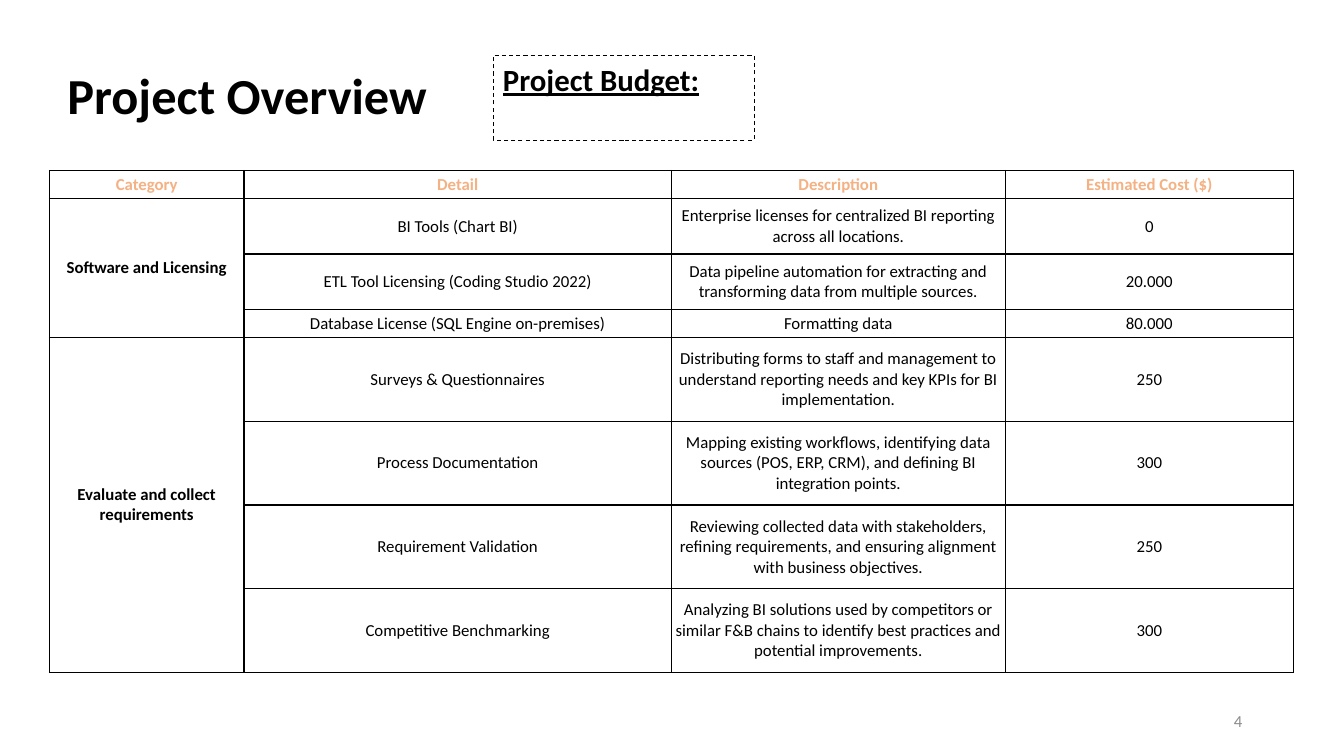
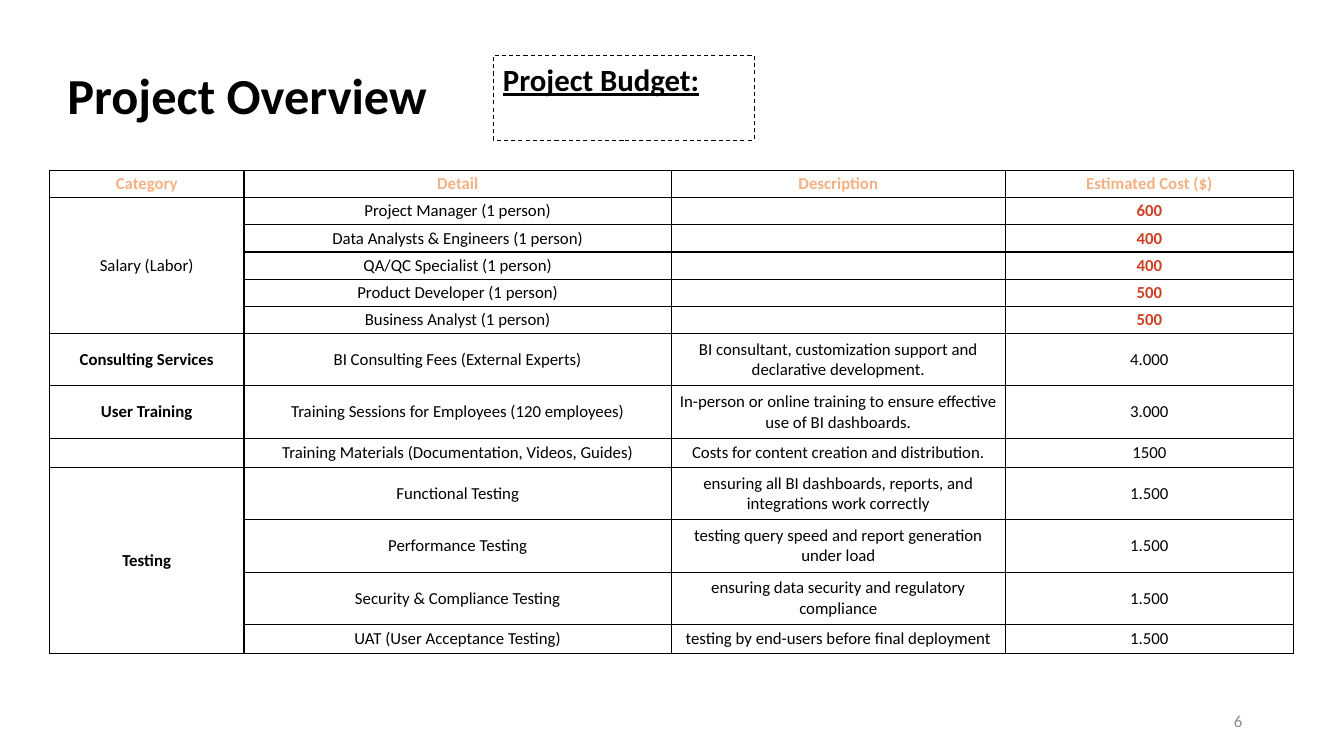
"""Build two project budget slides, each with a heading and a grouped cost table."""
from lxml.etree import SubElement
from pptx import Presentation
from pptx.dml.color import RGBColor
from pptx.enum.dml import MSO_LINE
from pptx.enum.shapes import MSO_SHAPE
from pptx.enum.text import MSO_ANCHOR, PP_ALIGN
from pptx.oxml.ns import qn
from pptx.util import Inches, Pt

BLACK = RGBColor(0x00, 0x00, 0x00)
GRAY = RGBColor(0x8C, 0x8C, 0x8C)
PEACH = RGBColor(0xF4, 0xB1, 0x83)
RED = RGBColor(0xCC, 0x41, 0x25)
FONT = "Calibri"
HEADINGS = ["Category", "Detail", "Description", "Estimated Cost ($)"]
COLUMN_WIDTHS = [1.93, 4.24, 3.31, 2.86]

SLIDES = [
    {
        "number": "4",
        "heights": [0.28, 0.55, 0.55, 0.28] + [0.83] * 4,
        "groups": [
            ("Software and Licensing", True, [
                ("BI Tools (Chart BI)",
                 "Enterprise licenses for centralized BI reporting across all locations.", "0"),
                ("ETL Tool Licensing (Coding Studio 2022)",
                 "Data pipeline automation for extracting and transforming data from multiple sources.",
                 "20.000"),
                ("Database License (SQL Engine on-premises)", "Formatting data", "80.000"),
            ]),
            ("Evaluate and collect requirements", True, [
                ("Surveys & Questionnaires",
                 "Distributing forms to staff and management to understand reporting needs "
                 "and key KPIs for BI implementation.", "250"),
                ("Process Documentation",
                 "Mapping existing workflows, identifying data sources (POS, ERP, CRM), "
                 "and defining BI integration points.", "300"),
                ("Requirement Validation",
                 "Reviewing collected data with stakeholders, refining requirements, "
                 "and ensuring alignment with business objectives.", "250"),
                ("Competitive Benchmarking",
                 "Analyzing BI solutions used by competitors or similar F&B chains "
                 "to identify best practices and potential improvements.", "300"),
            ]),
        ],
    },
    {
        "number": "6",
        "heights": [0.27] * 6 + [0.52, 0.52, 0.29] + [0.52] * 3 + [0.29],
        "groups": [
            ("Salary (Labor)", False, [
                ("Project Manager (1 person)", "", "600"),
                ("Data Analysts & Engineers (1 person)", "", "400"),
                ("QA/QC Specialist (1 person)", "", "400"),
                ("Product Developer (1 person)", "", "500"),
                ("Business Analyst (1 person)", "", "500"),
            ]),
            ("Consulting Services", True, [
                ("BI Consulting Fees (External Experts)",
                 "BI consultant, customization support and declarative development.", "4.000"),
            ]),
            ("User Training", True, [
                ("Training Sessions for Employees (120 employees)",
                 "In-person or online training to ensure effective use of BI dashboards.", "3.000"),
            ]),
            ("", False, [
                ("Training Materials (Documentation, Videos, Guides)",
                 "Costs for content creation and distribution.", "1500"),
            ]),
            ("Testing", True, [
                ("Functional Testing",
                 "ensuring all BI dashboards, reports, and integrations work correctly", "1.500"),
                ("Performance Testing",
                 "testing query speed and report generation under load", "1.500"),
                ("Security & Compliance Testing",
                 "ensuring data security and regulatory compliance", "1.500"),
                ("UAT (User Acceptance Testing)",
                 "testing by end-users before final deployment", "1.500"),
            ]),
        ],
    },
]


def write(frame, text, size=12, color=BLACK, bold=False, underline=False,
          align=PP_ALIGN.LEFT, anchor=MSO_ANCHOR.MIDDLE, spacing=1.0):
    """Put one formatted paragraph into a text frame."""
    frame.word_wrap = True
    frame.vertical_anchor = anchor
    para = frame.paragraphs[0]
    para.alignment = align
    para.line_spacing = spacing
    span = para.add_run()
    span.text = text
    span.font.name = FONT
    span.font.size = Pt(size)
    span.font.color.rgb = color
    span.font.bold = bold
    span.font.underline = underline


def prepare_cell(cell):
    """Give a table cell black borders, thin margins and no fill."""
    properties = cell._tc.get_or_add_tcPr()
    for side in ("lnL", "lnR", "lnT", "lnB"):
        border = SubElement(properties, qn(f"a:{side}"), w=str(Pt(1)))
        fill = SubElement(border, qn("a:solidFill"))
        SubElement(fill, qn("a:srgbClr"), val=str(BLACK))
    cell.fill.background()
    cell.margin_left = cell.margin_right = Inches(0.01)
    cell.margin_top = cell.margin_bottom = 0
    SubElement(cell.text_frame.paragraphs[0]._p, qn("a:endParaRPr"), sz="1200")


deck = Presentation()
deck.slide_width = Inches(13.33)
deck.slide_height = Inches(7.5)

for content in SLIDES:
    page = deck.slides.add_slide(deck.slide_layouts[6])

    title = page.shapes.add_textbox(Inches(0.57), Inches(0.6), Inches(3.87), Inches(0.75))
    write(title.text_frame, "Project Overview", size=36, bold=True, spacing=0.9)

    number = page.shapes.add_textbox(Inches(9.42), Inches(6.95), Inches(3), Inches(0.4))
    write(number.text_frame, content["number"], color=GRAY, align=PP_ALIGN.RIGHT)

    box = page.shapes.add_shape(MSO_SHAPE.RECTANGLE, Inches(4.89), Inches(0.55),
                                Inches(2.59), Inches(0.84))
    box.shadow.inherit = False
    box.fill.background()
    box.line.color.rgb = BLACK
    box.line.width = Pt(0.75)
    box.line.dash_style = MSO_LINE.DASH
    write(box.text_frame, "Project Budget:", size=22, bold=True, underline=True,
          anchor=MSO_ANCHOR.TOP)

    heights = content["heights"]
    table = page.shapes.add_table(len(heights), len(COLUMN_WIDTHS), Inches(0.49), Inches(1.69),
                                  Inches(sum(COLUMN_WIDTHS)), Inches(sum(heights))).table
    for column, width in zip(table.columns, COLUMN_WIDTHS):
        column.width = Inches(width)
    for row, height in zip(table.rows, heights):
        row.height = Inches(height)
    for cell in table.iter_cells():
        prepare_cell(cell)

    entries = [(0, column, heading, PEACH, True) for column, heading in enumerate(HEADINGS)]
    top = 1
    for category, bold, items in content["groups"]:
        entries.append((top, 0, category, BLACK, bold))
        if len(items) > 1:
            table.cell(top, 0).merge(table.cell(top + len(items) - 1, 0))
        for row, (detail, description, cost) in enumerate(items, top):
            is_salary = not description
            entries += [
                (row, 1, detail, BLACK, False),
                (row, 2, description, BLACK, False),
                (row, 3, cost, RED if is_salary else BLACK, is_salary),
            ]
        top += len(items)

    for row, column, text, color, bold in entries:
        if text:
            cell = table.cell(row, column)
            cell.vertical_anchor = MSO_ANCHOR.MIDDLE
            write(cell.text_frame, text, color=color, bold=bold, align=PP_ALIGN.CENTER,
                  anchor=None)

deck.save("out.pptx")
